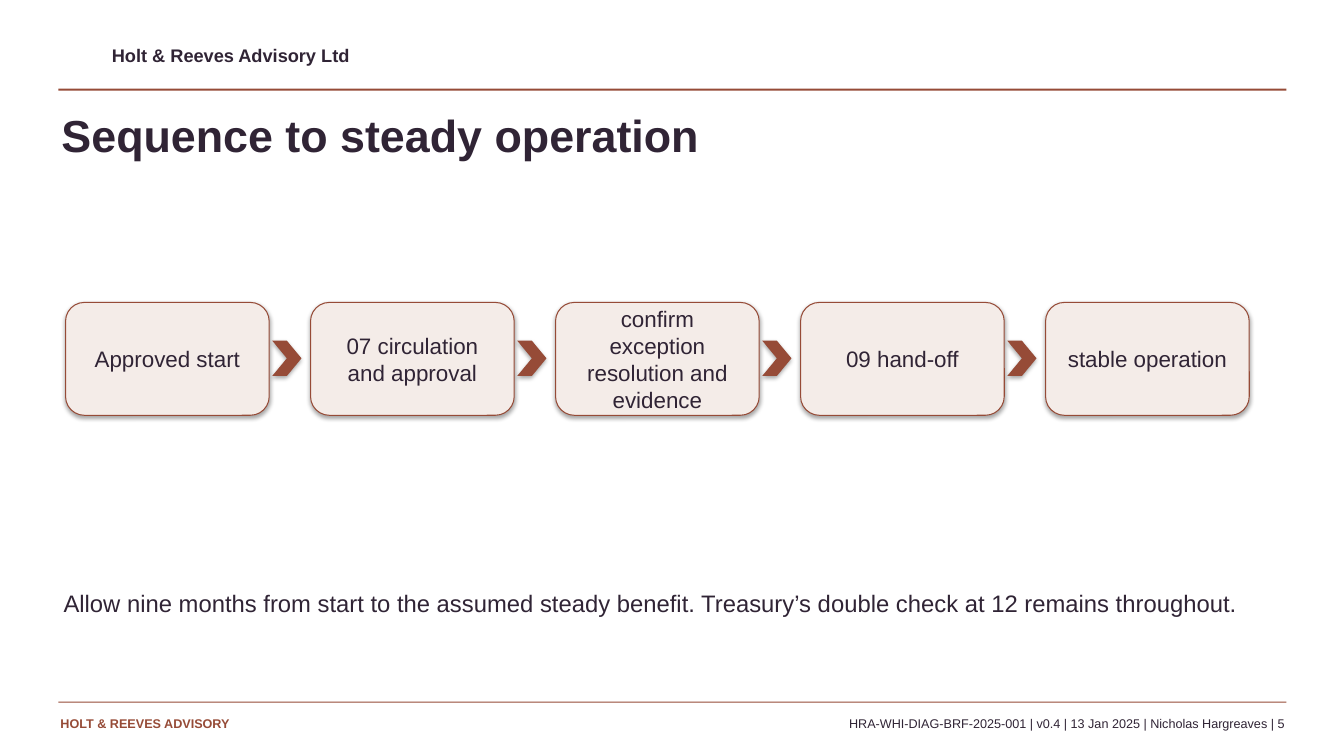
from dataclasses import dataclass

from lxml.etree import SubElement
from pptx import Presentation
from pptx.dml.color import RGBColor
from pptx.enum.shapes import MSO_SHAPE
from pptx.enum.text import MSO_ANCHOR, MSO_AUTO_SIZE, PP_ALIGN
from pptx.oxml.ns import qn
from pptx.shapes.autoshape import Shape
from pptx.slide import Slide
from pptx.text.text import TextFrame
from pptx.util import Pt

EMU_PER_PX = 9144  # 100 px to the inch
RUST = RGBColor(0x96, 0x4B, 0x37)
PLUM = RGBColor(0x30, 0x24, 0x35)
BLUSH = RGBColor(0xF4, 0xEC, 0xE8)
FONT = "Arial"

STEPS = (
    "Approved start",
    "07 circulation\vand approval",
    "confirm exception\vresolution and evidence",
    "09 hand-off",
    "stable operation",
)
STEP_LEFT, STEP_TOP, STEP_PITCH = 65, 300, 243


@dataclass(frozen=True)
class Box:
    left: int
    top: int
    width: int
    height: int

    def emu(self) -> tuple[int, int, int, int]:
        return (self.left * EMU_PER_PX, self.top * EMU_PER_PX,
                self.width * EMU_PER_PX, self.height * EMU_PER_PX)


@dataclass(frozen=True)
class Label:
    text: str
    box: Box
    size: int
    color: RGBColor = PLUM
    bold: bool = False
    align: PP_ALIGN = PP_ALIGN.LEFT


TITLE = Label("Sequence to steady operation", Box(61, 107, 1200, 78), 32, bold=True)
BODY = Label(
    "Allow nine months from start to the assumed steady benefit. "
    "Treasury’s double check at 12 remains throughout.",
    Box(63, 584, 1194, 80), 17)
LABELS = (
    Label("Holt & Reeves Advisory Ltd", Box(111, 44, 600, 27), 13, bold=True),
    Label("HOLT & REEVES ADVISORY", Box(60, 710, 340, 25), 9, RUST, bold=True),
    Label("HRA-WHI-DIAG-BRF-2025-001 | v0.4 | 13 Jan 2025 | Nicholas Hargreaves | 5",
          Box(412, 710, 862, 22), 9, align=PP_ALIGN.RIGHT),
)
RULES = (Box(58, 88, 1218, 2), Box(58, 696, 1218, 1))


def format_text(frame: TextFrame, size: int, color: RGBColor, bold: bool,
                align: PP_ALIGN) -> None:
    for paragraph in frame.paragraphs:
        paragraph.alignment = align
        for run in paragraph.runs:
            run.font.name = FONT
            run.font.size = Pt(size)
            run.font.bold = bold
            run.font.color.rgb = color


def fill_label(shape: Shape, label: Label) -> None:
    shape.left, shape.top, shape.width, shape.height = label.box.emu()
    frame = shape.text_frame
    frame.text = label.text
    frame.word_wrap = True
    frame.auto_size = MSO_AUTO_SIZE.NONE
    frame.vertical_anchor = MSO_ANCHOR.TOP
    frame.margin_left = frame.margin_top = 0
    frame.margin_right = frame.margin_bottom = 0
    format_text(frame, label.size, label.color, label.bold, label.align)


def add_solid(slide: Slide, preset: MSO_SHAPE, box: Box, color: RGBColor,
              shadow: bool = False) -> Shape:
    shape = slide.shapes.add_shape(preset, *box.emu())
    shape.fill.solid()
    shape.fill.fore_color.rgb = color
    shape.line.fill.background()
    if not shadow:
        shape.shadow.inherit = False
    return shape


def add_step(slide: Slide, index: int, text: str) -> None:
    left = STEP_LEFT + index * STEP_PITCH
    card = add_solid(slide, MSO_SHAPE.ROUNDED_RECTANGLE,
                     Box(left, STEP_TOP, 202, 112), BLUSH, shadow=True)
    card.line.color.rgb = RUST
    card.line.width = Pt(0.75)
    card.text_frame.text = text
    format_text(card.text_frame, 16, PLUM, False, PP_ALIGN.CENTER)
    if index < len(STEPS) - 1:
        add_solid(slide, MSO_SHAPE.CHEVRON,
                  Box(left + 205, STEP_TOP + 38, 29, 35), RUST, shadow=True)


def remove_bullet(shape: Shape) -> None:
    paragraph = shape.text_frame.paragraphs[0]
    paragraph.space_before = Pt(0)
    properties = paragraph._p.get_or_add_pPr()
    properties.set("marL", "0")
    properties.set("indent", "0")
    SubElement(properties, qn("a:buNone"))


def main() -> None:
    presentation = Presentation()
    presentation.slide_width = 1333 * EMU_PER_PX
    presentation.slide_height = 750 * EMU_PER_PX
    slide = presentation.slides.add_slide(presentation.slide_layouts[1])

    # Header and footer
    for rule in RULES:
        add_solid(slide, MSO_SHAPE.RECTANGLE, rule, RUST)
    for label in LABELS:
        fill_label(slide.shapes.add_textbox(*label.box.emu()), label)

    # Title and closing statement
    fill_label(slide.shapes.title, TITLE)
    body = slide.placeholders[1]
    fill_label(body, BODY)
    remove_bullet(body)

    # Process steps
    for index, text in enumerate(STEPS):
        add_step(slide, index, text)

    presentation.save("out.pptx")


if __name__ == "__main__":
    main()
